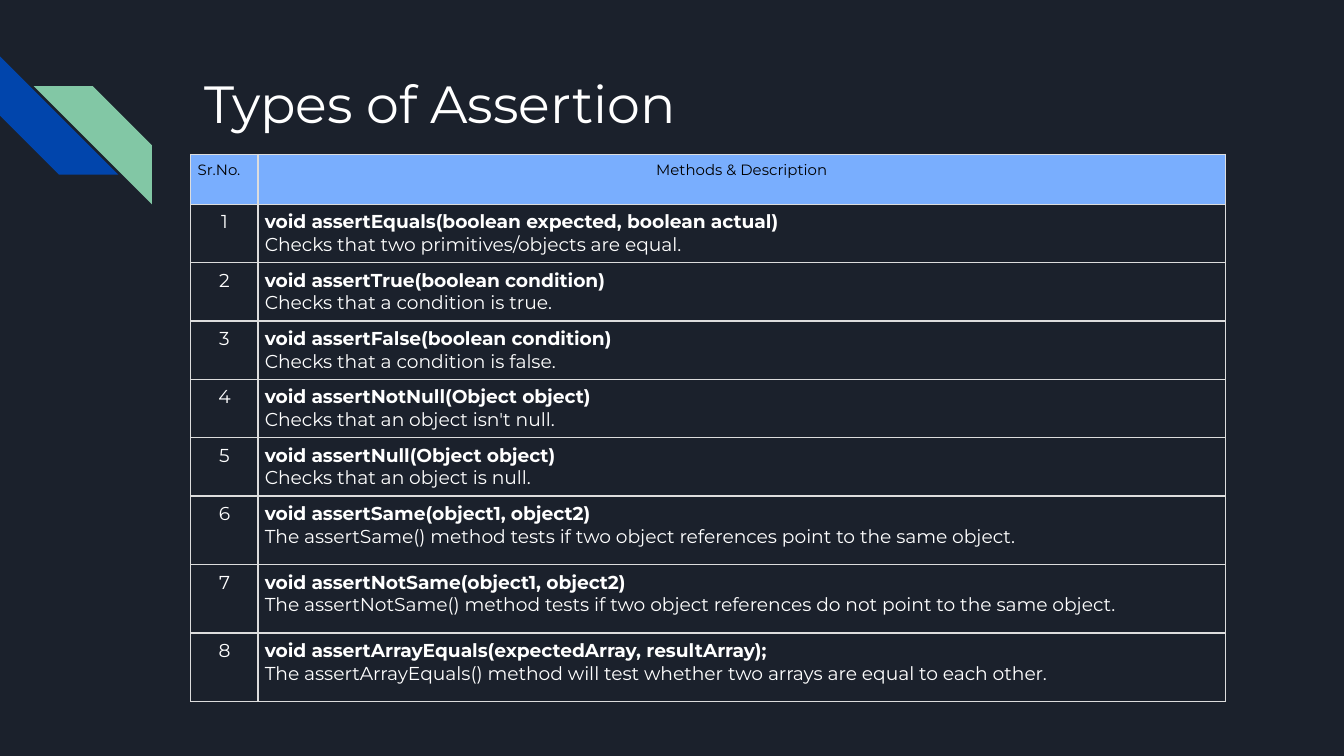
from lxml.etree import SubElement
from pptx import Presentation
from pptx.dml.color import RGBColor
from pptx.enum.shapes import MSO_SHAPE as Shape
from pptx.enum.text import MSO_ANCHOR as Anchor, PP_ALIGN as Align
from pptx.oxml.ns import qn
from pptx.util import Inches, Pt

NAVY = RGBColor(0x1B, 0x21, 0x2C)
BLUE = RGBColor(0x01, 0x45, 0xAC)
GREEN = RGBColor(0x82, 0xC7, 0xA5)
HEADER_BLUE = RGBColor(0x79, 0xAE, 0xFE)
BORDER_GREY = RGBColor(0xDD, 0xDD, 0xDD)
WHITE = RGBColor(0xFF, 0xFF, 0xFF)
BLACK = RGBColor(0, 0, 0)
FONT = "Montserrat"

SLIDE_WIDTH = Inches(10)
SLIDE_HEIGHT = SLIDE_WIDTH * 9 // 16
LEFT, WIDTH = 1.42, 7.7
COLUMNS = (0.5, 7.2)
HEADER_ROW, SHORT_ROW, TALL_ROW = 0.37, 0.43, 0.51
SHORT_COUNT = 5
STRIPE = 0.88

HEADINGS = ("Sr.No.", "Methods & Description")
ASSERTIONS = (
    ("void assertEquals(boolean expected, boolean actual)",
     "Checks that two primitives/objects are equal."),
    ("void assertTrue(boolean condition)", "Checks that a condition is true."),
    ("void assertFalse(boolean condition)", "Checks that a condition is false."),
    ("void assertNotNull(Object object)", "Checks that an object isn't null."),
    ("void assertNull(Object object)", "Checks that an object is null."),
    ("void assertSame(object1, object2)",
     "The assertSame() method tests if two object references point to the same object."),
    ("void assertNotSame(object1, object2)",
     "The assertNotSame() method tests if two object references do not point to the same object."),
    ("void assertArrayEquals(expectedArray, resultArray);",
     "The assertArrayEquals() method will test whether two arrays are equal to each other."),
)


def add_run(paragraph, text, size, color, bold=False):
    run = paragraph.add_run()
    run.text = text
    run.font.name = FONT
    run.font.size = Pt(size)
    run.font.bold = bold
    run.font.color.rgb = color


def add_stripe(slide, left, top, color, rotation):
    shape = slide.shapes.add_shape(
        Shape.DIAGONAL_STRIPE, Inches(left), Inches(top), Inches(STRIPE), Inches(STRIPE))
    shape.rotation = rotation
    shape.shadow.inherit = False
    shape.fill.solid()
    shape.fill.fore_color.rgb = color
    shape.line.fill.background()


def add_title(slide, text):
    shape = slide.shapes.add_textbox(Inches(LEFT), Inches(0.43), Inches(WIDTH), Inches(1))
    frame = shape.text_frame
    frame.word_wrap = True
    frame.vertical_anchor = Anchor.TOP
    frame.margin_left = frame.margin_right = Inches(0.1)
    frame.margin_top = frame.margin_bottom = Inches(0.1)
    add_run(frame.paragraphs[0], text, 28, WHITE)


def add_borders(cell):
    properties = cell._tc.get_or_add_tcPr()
    for index, side in enumerate(("lnL", "lnR", "lnT", "lnB")):
        line = properties.makeelement(qn(f"a:{side}"), {"w": str(Pt(0.75))})
        fill = SubElement(line, qn("a:solidFill"))
        SubElement(fill, qn("a:srgbClr"), val=str(BORDER_GREY))
        properties.insert(index, line)


def fill_cell(cell, lines, align, size=10, color=WHITE, background=None):
    cell.margin_left = cell.margin_right = Inches(0.05)
    cell.margin_top = cell.margin_bottom = Inches(0.05)
    if background is None:
        cell.fill.background()
    else:
        cell.fill.solid()
        cell.fill.fore_color.rgb = background
    add_borders(cell)
    frame = cell.text_frame
    for index, (text, bold) in enumerate(lines):
        paragraph = frame.add_paragraph() if index else frame.paragraphs[0]
        paragraph.alignment = align
        add_run(paragraph, text, size, color, bold)


def add_assertion_table(slide):
    tall_count = len(ASSERTIONS) - SHORT_COUNT
    heights = [HEADER_ROW] + [SHORT_ROW] * SHORT_COUNT + [TALL_ROW] * tall_count
    table = slide.shapes.add_table(
        len(heights), len(COLUMNS), Inches(LEFT), Inches(1.15),
        Inches(WIDTH), Inches(sum(heights))).table
    table.first_row = table.horz_banding = False
    for column, width in zip(table.columns, COLUMNS):
        column.width = Inches(width)
    for row, height in zip(table.rows, heights):
        row.height = Inches(height)
    for column, (text, align) in enumerate(zip(HEADINGS, (Align.LEFT, Align.CENTER))):
        fill_cell(table.cell(0, column), [(text, False)], align, 8, BLACK, HEADER_BLUE)
    for number, (method, description) in enumerate(ASSERTIONS, 1):
        fill_cell(table.cell(number, 0), [(str(number), False)], Align.CENTER)
        fill_cell(table.cell(number, 1), [(method, True), (description, False)], Align.JUSTIFY)


def main():
    presentation = Presentation()
    presentation.slide_width = SLIDE_WIDTH
    presentation.slide_height = SLIDE_HEIGHT
    slide = presentation.slides.add_slide(presentation.slide_layouts[6])
    slide.background.fill.solid()
    slide.background.fill.fore_color.rgb = NAVY
    add_stripe(slide, 0, 0.42, BLUE, 270)
    add_stripe(slide, 0.25, 0.64, GREEN, 90)
    add_title(slide, "Types of Assertion")
    add_assertion_table(slide)
    presentation.save("out.pptx")


main()
